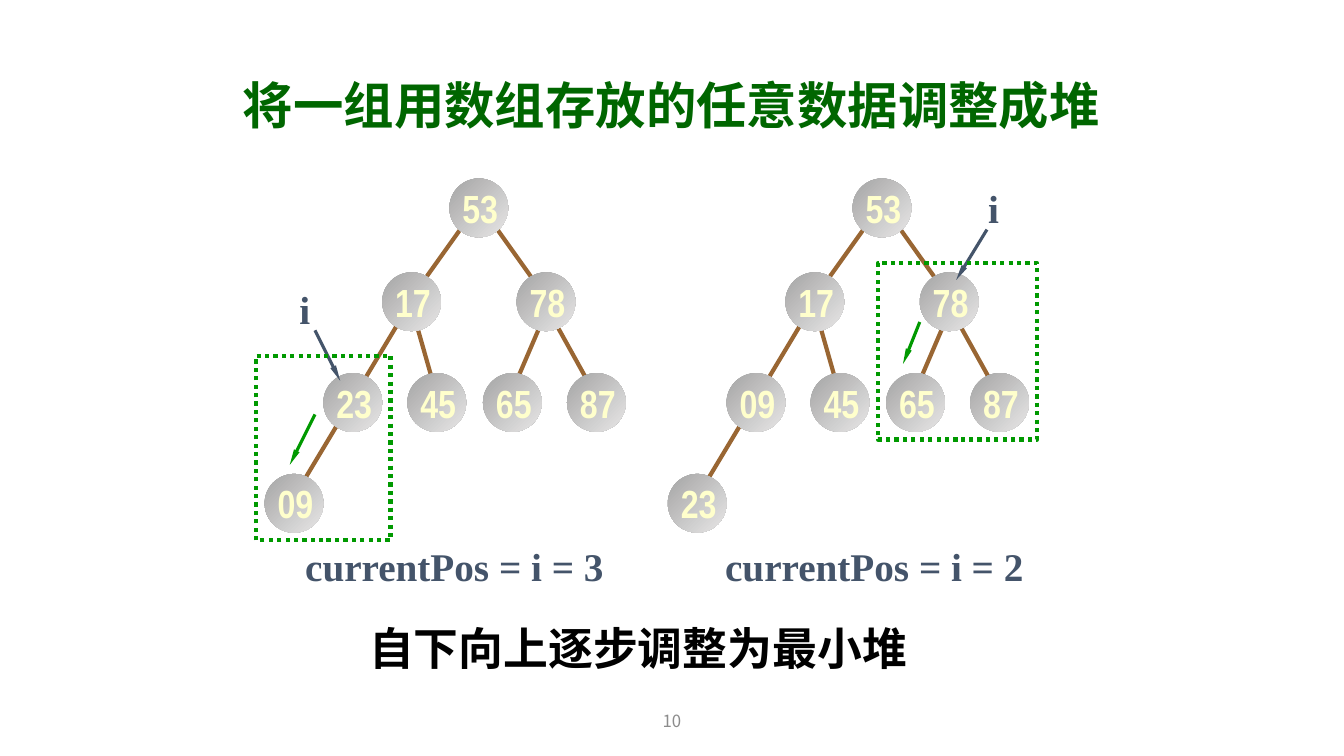
from lxml import etree
from pptx import Presentation
from pptx.dml.color import RGBColor
from pptx.enum.dml import MSO_LINE_DASH_STYLE as Dash
from pptx.enum.shapes import MSO_CONNECTOR as Connector, MSO_SHAPE as Shape
from pptx.enum.text import MSO_ANCHOR as Anchor, PP_ALIGN as Align
from pptx.oxml.ns import qn
from pptx.util import Pt

GREEN = RGBColor(0x00, 0x99, 0x00)
TITLE_GREEN = RGBColor(0x00, 0x66, 0x00)
BROWN = RGBColor(0x99, 0x66, 0x33)
SLATE = RGBColor(0x44, 0x54, 0x6A)
CREAM = RGBColor(0xFF, 0xFF, 0xCC)
BLACK = RGBColor(0x00, 0x00, 0x00)
PAGE_GREY = RGBColor(0x8C, 0x8C, 0x8C)
NODE_DARK = RGBColor(0xA5, 0xA5, 0xA5)
NODE_LIGHT = RGBColor(0xE7, 0xE6, 0xE6)

CJK = "Noto Sans CJK SC"
SERIF = "Times New Roman"
NARROW = "Arial Narrow"

NODE_SIZE = 42
TREE_GAP = 288
NODES = [(321, 127.5), (273, 194.5), (369, 194.5), (231, 266.5),
         (291, 266.5), (345, 266.5), (405, 266.5), (189, 338.5)]
EDGES = [(393, 224, 423, 278), (387, 230, 369, 272), (351, 158, 381, 200),
         (297, 230, 309, 272), (333, 158, 303, 200), (285, 230, 213, 350)]
TREES = [["53", "17", "78", "23", "45", "65", "87", "09"],
         ["53", "17", "78", "09", "45", "65", "87", "23"]]


def add_text(slide, box, text, size, font, color, bold=True,
             align=Align.CENTER, anchor=Anchor.MIDDLE, wrap=False, spacing=None):
    shape = slide.shapes.add_textbox(*map(Pt, box))
    frame = shape.text_frame
    frame.word_wrap = wrap
    frame.vertical_anchor = anchor
    paragraph = frame.paragraphs[0]
    paragraph.alignment = align
    paragraph.line_spacing = spacing
    run = paragraph.add_run()
    run.text = text
    run.font.size = Pt(size)
    run.font.bold = bold
    run.font.name = font
    run.font.color.rgb = color
    east_asian = etree.SubElement(run._r.get_or_add_rPr(), qn("a:ea"))
    east_asian.set("typeface", CJK)


def add_line(slide, ends, color, width, arrow=False):
    connector = slide.shapes.add_connector(Connector.STRAIGHT, *map(Pt, ends))
    connector.line.color.rgb = color
    connector.line.width = Pt(width)
    if arrow:
        head = etree.SubElement(connector.line._get_or_add_ln(), qn("a:tailEnd"))
        head.set("type", "triangle")
        head.set("w", "sm")
        head.set("len", "lg")
    etree.SubElement(connector._element.spPr, qn("a:effectLst"))


def add_node(slide, left, top):
    shape = slide.shapes.add_shape(
        Shape.OVAL, Pt(left), Pt(top), Pt(NODE_SIZE), Pt(NODE_SIZE))
    shape.shadow.inherit = False
    shape.line.fill.background()
    shape.fill.gradient()
    shape.fill.gradient_angle = 315
    for stop, color in zip(shape.fill.gradient_stops, (NODE_DARK, NODE_LIGHT)):
        stop.color.rgb = color


def add_tree(slide, values, shift):
    for x1, y1, x2, y2 in EDGES:
        add_line(slide, (x1 + shift, y1, x2 + shift, y2), BROWN, 3)
    for (left, top), value in zip(NODES, values):
        add_node(slide, left + shift, top)
        add_text(slide, (left + shift + 2, top + 0.5, 40, 41),
                 value, 28, NARROW, CREAM)


def add_focus_frame(slide, box):
    shape = slide.shapes.add_shape(Shape.RECTANGLE, *map(Pt, box))
    shape.shadow.inherit = False
    shape.fill.background()
    shape.line.color.rgb = GREEN
    shape.line.width = Pt(3)
    shape.line.dash_style = Dash.ROUND_DOT


def add_step(slide, index, label_box, pointer, frame, move):
    shift = index * TREE_GAP
    add_tree(slide, TREES[index], shift)
    add_line(slide, pointer, SLATE, 2.25, arrow=True)
    add_text(slide, label_box, "i", 28, SERIF, SLATE)
    add_focus_frame(slide, frame)
    add_line(slide, move, GREEN, 2.25, arrow=True)


def main():
    presentation = Presentation()
    presentation.slide_width = Pt(960)
    presentation.slide_height = Pt(540)
    slide = presentation.slides.add_slide(presentation.slide_layouts[6])

    add_text(slide, (166.5, 37.5, 648, 79), "将一组用数组存放的任意数据调整成堆",
             36, CJK, TITLE_GREEN, align=Align.LEFT, wrap=True, spacing=0.9)
    add_step(slide, 0, (206.5, 200, 22.5, 41), (225, 236, 243, 272),
             (183, 254, 96, 132), (225, 296, 207, 332))
    add_step(slide, 1, (698.5, 128, 22.5, 41), (705, 164, 683, 200),
             (627, 188, 114, 126), (657, 230, 645, 260))
    add_text(slide, (210.5, 384, 228, 41), "currentPos = i = 3", 28, SERIF, SLATE)
    add_text(slide, (510.5, 384, 228, 41), "currentPos = i = 2", 28, SERIF, SLATE)
    add_text(slide, (256.5, 440, 489, 45), "自下向上逐步调整为最小堆",
             32, SERIF, BLACK, align=Align.LEFT, anchor=Anchor.TOP, wrap=True)
    add_text(slide, (318, 500.5, 324, 29), "10", 12, CJK, PAGE_GREY,
             bold=False, wrap=True)
    presentation.save("out.pptx")


if __name__ == "__main__":
    main()
